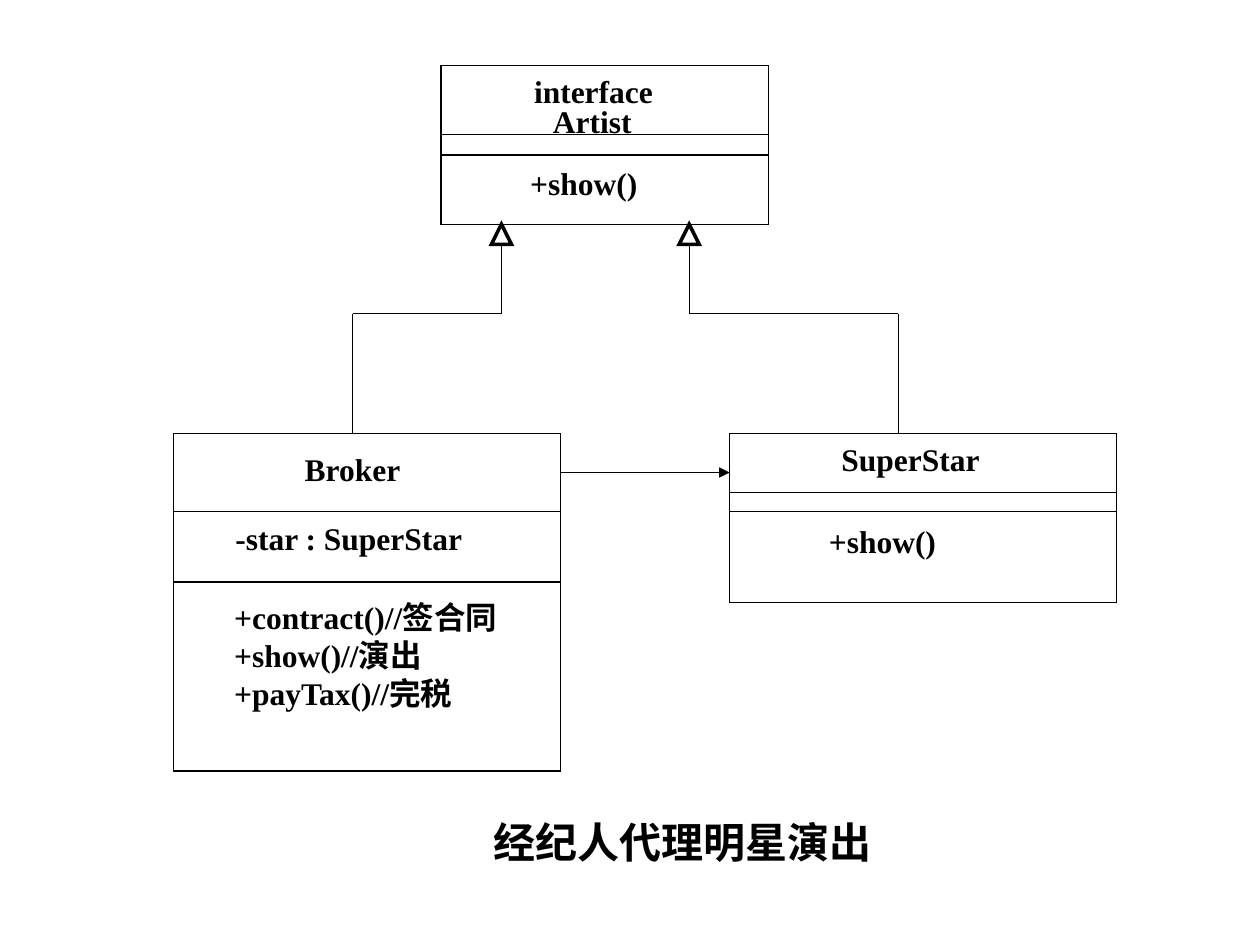
from dataclasses import dataclass
from typing import NamedTuple

import lxml.etree
import pptx
import pptx.dml.color
import pptx.enum.shapes
import pptx.enum.text
import pptx.oxml.ns
import pptx.util

Inches = pptx.util.Inches
SHAPES = pptx.enum.shapes.MSO_SHAPE
qn = pptx.oxml.ns.qn


@dataclass(frozen=True)
class Theme:
    ink: pptx.dml.color.RGBColor = pptx.dml.color.RGBColor(0, 0, 0)
    font: str = "Times New Roman"
    member_size: float = 18
    caption_size: float = 24
    thin: float = 0.75
    thick: float = 2


class Label(NamedTuple):
    left: float
    top: float
    width: float
    lines: tuple[str, ...]


class ClassBox(NamedTuple):
    left: float
    top: float
    width: float
    height: float
    dividers: tuple[float, ...]
    labels: tuple[Label, ...]


class Inheritance(NamedTuple):
    child_x: float
    parent_x: float


THEME = Theme()
PARENT_BOTTOM, BEND_Y, CHILD_TOP = 1.78, 2.49, 3.44
TRIANGLE = 0.16
LINE_HEIGHT = 0.3

# Label widths leave a little slack so that no word breaks
CLASSES = (
    ClassBox(3.5, 0.52, 2.6, 1.26, (1.07, 1.23), (
        Label(4.14, 0.52, 1.18, ("interface",)),
        Label(4.29, 0.76, 0.86, ("Artist",)),
        Label(4.11, 1.25, 1.09, ("+show()",)),
    )),
    ClassBox(1.38, CHILD_TOP, 3.07, 2.68, (4.06, 4.62), (
        Label(2.32, 3.52, 1, ("Broker",)),
        Label(1.77, 4.07, 2.04, ("-star : SuperStar",)),
        Label(1.76, 4.7, 2.38, ("+contract()//签合同", "+show()//演出", "+payTax()//完税")),
    )),
    ClassBox(5.79, CHILD_TOP, 3.07, 1.34, (3.91, 4.06), (
        Label(6.58, 3.44, 1.33, ("SuperStar",)),
        Label(6.48, 4.09, 1.09, ("+show()",)),
    )),
)
INHERITANCES = (Inheritance(2.8, 3.98), Inheritance(7.13, 5.47))
CAPTION = Label(3.82, 6.43, 3.54, ("经纪人代理明星演出",))


def add_outline(page, kind, left: float, top: float, width: float, height: float, weight: float):
    shape = page.shapes.add_shape(kind, *map(Inches, (left, top, width, height)))
    shape.shadow.inherit = False
    shape.fill.background()
    shape.line.color.rgb = THEME.ink
    shape.line.width = pptx.util.Pt(weight)
    outline = shape._element.spPr.find(qn("a:ln"))
    lxml.etree.SubElement(outline, qn("a:miter"), lim="800000")


def add_line(page, x1: float, y1: float, x2: float, y2: float, arrow: bool = False):
    line = page.shapes.add_connector(
        pptx.enum.shapes.MSO_CONNECTOR.STRAIGHT, *map(Inches, (x1, y1, x2, y2)))
    line.line.color.rgb = THEME.ink
    line.line.width = pptx.util.Pt(THEME.thin)
    properties = line._element.spPr
    if arrow:
        lxml.etree.SubElement(properties.find(qn("a:ln")), qn("a:tailEnd"), type="triangle")
    lxml.etree.SubElement(properties, qn("a:effectLst"))


def add_label(page, label: Label, size: float, wrap: bool = False):
    height = 0.1 + LINE_HEIGHT * len(label.lines) * size / THEME.member_size
    box = page.shapes.add_textbox(*map(Inches, (label.left, label.top, label.width, height)))
    frame = box.text_frame
    frame.word_wrap = wrap
    frame.auto_size = pptx.enum.text.MSO_AUTO_SIZE.SHAPE_TO_FIT_TEXT
    frame.text = "\n".join(label.lines)
    formats = {"name": THEME.font, "size": pptx.util.Pt(size), "bold": True}
    for para in frame.paragraphs:
        for span in para.runs:
            for name, value in formats.items():
                setattr(span.font, name, value)
            span.font.color.rgb = THEME.ink


def add_class(page, item: ClassBox):
    add_outline(page, SHAPES.RECTANGLE, item.left, item.top, item.width, item.height, THEME.thin)
    for y in item.dividers:
        add_line(page, item.left, y, item.left + item.width, y)
    for label in item.labels:
        add_label(page, label, THEME.member_size)


def add_inheritance(page, link: Inheritance):
    add_outline(page, SHAPES.ISOSCELES_TRIANGLE, link.parent_x - TRIANGLE / 2, PARENT_BOTTOM,
                TRIANGLE, TRIANGLE, THEME.thick)
    add_line(page, link.parent_x, PARENT_BOTTOM + TRIANGLE, link.parent_x, BEND_Y)
    add_line(page, link.parent_x, BEND_Y, link.child_x, BEND_Y)
    add_line(page, link.child_x, BEND_Y, link.child_x, CHILD_TOP)


def main():
    deck = pptx.Presentation()
    deck.slide_width, deck.slide_height = Inches(10), Inches(7.5)
    page = deck.slides.add_slide(deck.slide_layouts[6])

    # Class boxes
    for item in CLASSES:
        add_class(page, item)

    # Association from the broker to the star
    _, broker, star = CLASSES
    add_line(page, broker.left + broker.width, 3.75, star.left, 3.75, arrow=True)

    # Inheritance links
    for link in INHERITANCES:
        add_inheritance(page, link)

    # Caption
    add_label(page, CAPTION, THEME.caption_size, wrap=True)
    deck.save("out.pptx")


if __name__ == "__main__":
    main()
